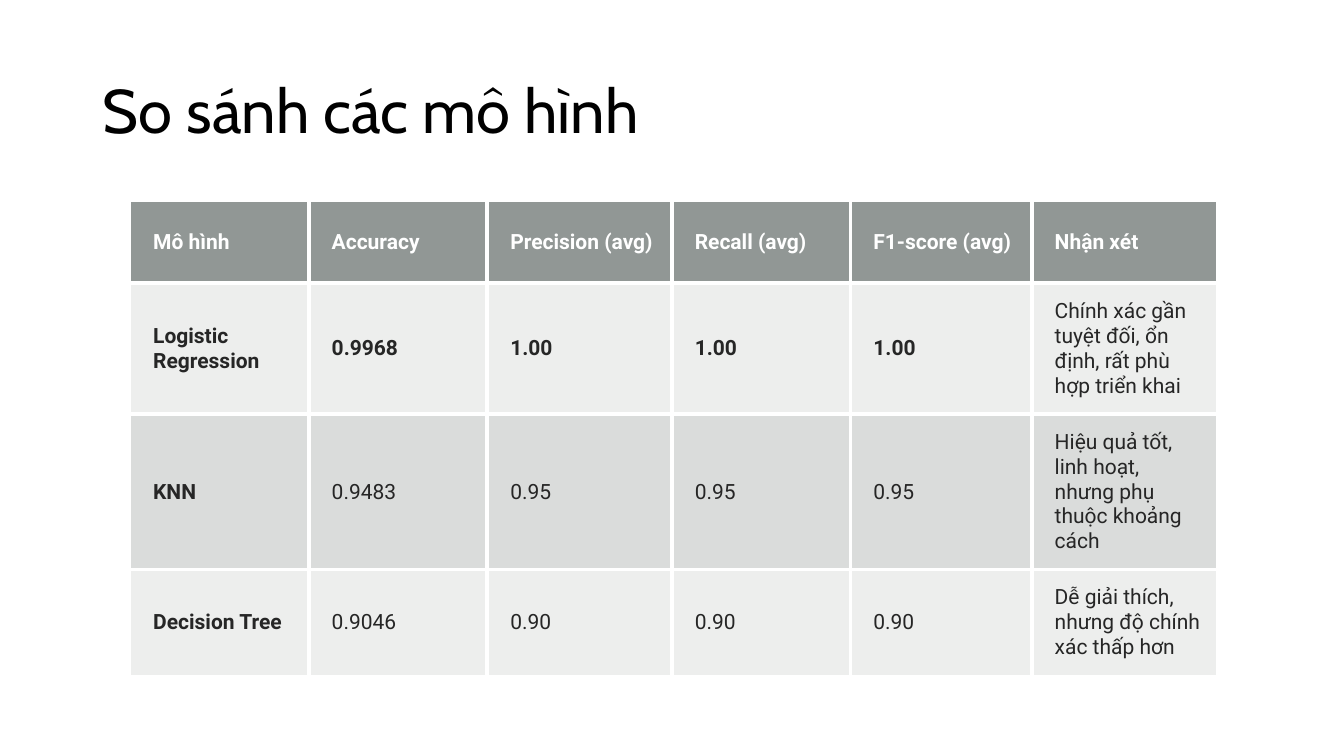
from dataclasses import dataclass

from lxml import etree
from pptx import Presentation
from pptx import util as u
from pptx.dml.color import RGBColor
from pptx.enum import text
from pptx.oxml import ns
from pptx.slide import Slide


@dataclass(frozen=True)
class Theme:
    title_font: str = "Cabin"
    body_font: str = "Roboto"
    title_size: int = 44
    body_size: int = 15
    black: str = "000000"
    white: str = "FFFFFF"
    ink: str = "262626"
    header: str = "636B68"
    band: str = "878E8B"
    border_width: int = 3


@dataclass(frozen=True)
class TableRow:
    height: float
    fill: str
    opacity: int
    color: str
    bold_columns: int
    texts: tuple[str, ...]


THEME = Theme()
COLUMN_WIDTHS = (4.5, 4.5, 4.65, 4.5, 4.57, 4.65)
ROWS = (
    TableRow(2.06, THEME.header, 70, THEME.white, 6,
             ("Mô hình", "Accuracy", "Precision (avg)", "Recall (avg)",
              "F1-score (avg)", "Nhận xét")),
    TableRow(3.3, THEME.band, 15, THEME.ink, 5,
             ("Logistic Regression", "0.9968", "1.00", "1.00", "1.00",
              "Chính xác gần tuyệt đối, ổn định, rất phù hợp triển khai")),
    TableRow(3.91, THEME.band, 30, THEME.ink, 1,
             ("KNN", "0.9483", "0.95", "0.95", "0.95",
              "Hiệu quả tốt, linh hoạt, nhưng phụ thuộc khoảng cách")),
    TableRow(2.67, THEME.band, 15, THEME.ink, 1,
             ("Decision Tree", "0.9046", "0.90", "0.90", "0.90",
              "Dễ giải thích, nhưng độ chính xác thấp hơn")),
)


def write(frame, content: str, *, font: str, size: int, color: str,
          bold: bool = False, line_spacing: float = 1.0) -> None:
    para = frame.paragraphs[0]
    para.alignment = text.PP_ALIGN.LEFT
    para.line_spacing = line_spacing
    span = para.add_run()
    span.text = content
    span.font.name = font
    span.font.size = u.Pt(size)
    span.font.bold = bold
    span.font.color.rgb = RGBColor.from_string(color)


def fill_cell(cell, color: str, opacity: int) -> None:
    cell.fill.solid()
    cell.fill.fore_color.rgb = RGBColor.from_string(color)
    tint = cell._tc.tcPr.find(".//" + ns.qn("a:srgbClr"))
    etree.SubElement(tint, ns.qn("a:alpha"), val=str(opacity * 1000))


def border_cell(cell, sides: list[str]) -> None:
    for index, side in enumerate(sides):
        line = etree.Element(ns.qn(f"a:ln{side}"), w=str(u.Pt(THEME.border_width)))
        paint = etree.SubElement(line, ns.qn("a:solidFill"))
        etree.SubElement(paint, ns.qn("a:srgbClr"), val=THEME.white)
        cell._tc.tcPr.insert(index, line)


def add_title(page: Slide) -> None:
    title = page.shapes.title
    title.left, title.top = u.Cm(2.34), u.Cm(1.02)
    title.width, title.height = u.Cm(29.21), u.Cm(3.68)
    title.text_frame.vertical_anchor = text.MSO_ANCHOR.MIDDLE
    write(title.text_frame, "So sánh các mô hình", font=THEME.title_font,
          size=THEME.title_size, color=THEME.black, line_spacing=0.9)


def add_comparison(page: Slide) -> None:
    last_row, last_column = len(ROWS) - 1, len(COLUMN_WIDTHS) - 1
    table = page.shapes.add_table(
        len(ROWS), len(COLUMN_WIDTHS), u.Cm(3.28), u.Cm(5.08),
        u.Cm(sum(COLUMN_WIDTHS)), u.Cm(sum(row.height for row in ROWS))).table
    for column, width in zip(table.columns, COLUMN_WIDTHS):
        column.width = u.Cm(width)
    for r, row in enumerate(ROWS):
        table.rows[r].height = u.Cm(row.height)
        for c, content in enumerate(row.texts):
            cell = table.cell(r, c)
            cell.vertical_anchor = text.MSO_ANCHOR.MIDDLE
            cell.margin_left = u.Cm(0.58)
            cell.margin_right = cell.margin_top = cell.margin_bottom = u.Cm(0.36)
            write(cell.text_frame, content, font=THEME.body_font,
                  size=THEME.body_size, color=row.color, bold=c < row.bold_columns)
            fill_cell(cell, row.fill, row.opacity)
            inner = {"L": c > 0, "R": c < last_column, "T": r > 0, "B": r < last_row}
            border_cell(cell, [side for side, shown in inner.items() if shown])


def main() -> None:
    deck = Presentation()
    deck.slide_width, deck.slide_height = u.Cm(33.87), u.Cm(19.05)
    page = deck.slides.add_slide(deck.slide_layouts[5])
    page.background.fill.solid()
    page.background.fill.fore_color.rgb = RGBColor.from_string(THEME.white)
    add_title(page)
    add_comparison(page)
    deck.save("out.pptx")


if __name__ == "__main__":
    main()
